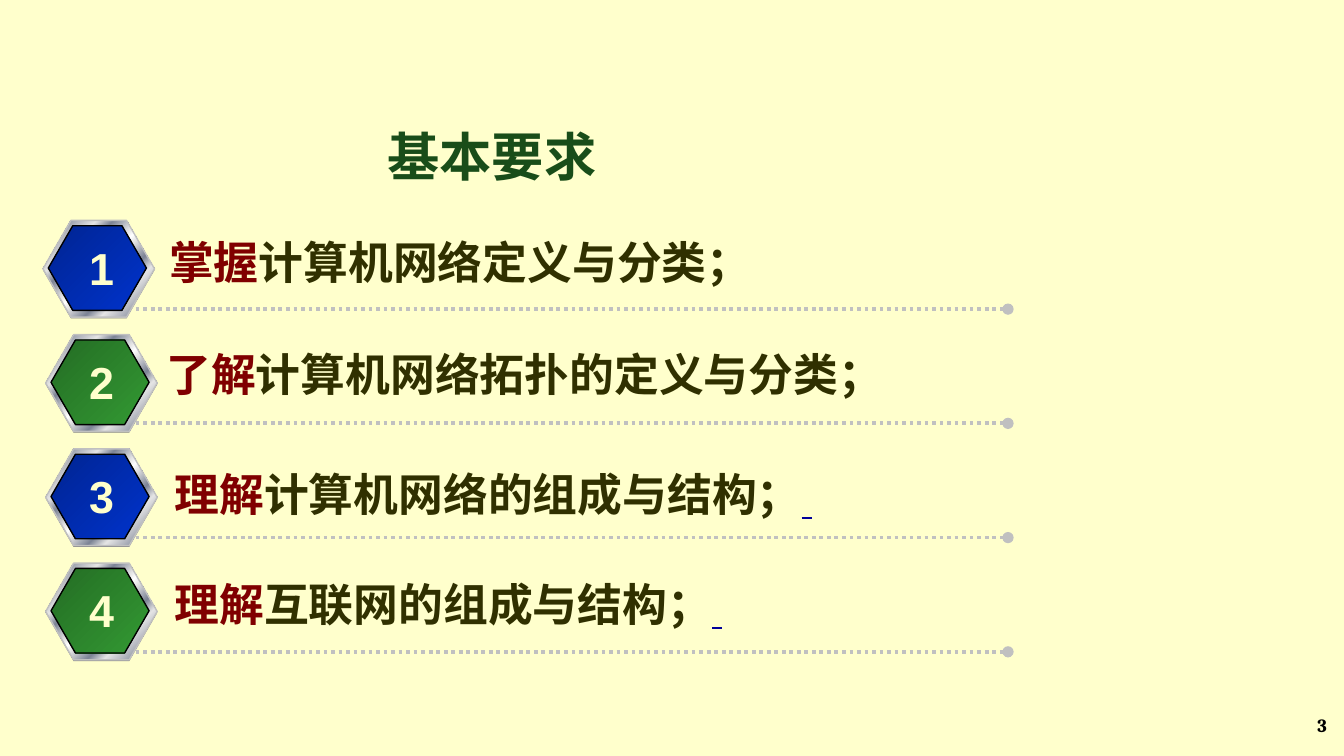
import pptx
import pptx.dml.color
import pptx.enum.dml
import pptx.enum.shapes
import pptx.enum.text
import pptx.oxml
import pptx.oxml.ns
import pptx.util
from dataclasses import dataclass

Inches, Pt = pptx.util.Inches, pptx.util.Pt
ALIGN = pptx.enum.text.PP_ALIGN
ANCHOR = pptx.enum.text.MSO_ANCHOR


@dataclass(frozen=True)
class Theme:
    page: str = "FFFFCC"
    title: str = "194D19"
    verb: str = "800000"
    body: str = "303000"
    link: str = "000099"
    black: str = "000000"
    rule: str = "C0C0C0"
    shade: str = "808080"
    blue: tuple = ((0, "002492"), (100, "0033CC"))
    green: tuple = ((0, "246D24"), (100, "339933"))
    metal: tuple = (
        (0, "E6E6E6"), (8, "7D8496"), (26, "E6E6E6"), (34, "7D8496"),
        (46, "E6E6E6"), (50, "FFFFFF"), (54, "E6E6E6"), (66, "7D8496"),
        (74, "E6E6E6"), (92, "7D8496"), (100, "E6E6E6"))
    title_size: int = 28
    body_size: int = 24
    page_size: int = 10
    heading_font: str = "Cambria"
    body_font: str = "Times New Roman"
    number_font: str = "Arial"


T = Theme()


def rgb(value):
    return pptx.dml.color.RGBColor.from_string(value)


def add_text(s, box, runs, size, font, align=ALIGN.LEFT, anchor=ANCHOR.TOP, inset=0.1):
    """Place one bold line; runs are (text, colour, underlined)."""
    sp = s.shapes.add_textbox(*map(Inches, box))
    tf = sp.text_frame
    tf.word_wrap = True
    tf.vertical_anchor = anchor
    tf.margin_left = tf.margin_right = Inches(inset)
    p = tf.paragraphs[0]
    p.alignment = align
    for text, color, underline in runs:
        r = p.add_run()
        r.text = text
        r.font.size, r.font.name, r.font.bold = Pt(size), font, True
        r.font.color.rgb = rgb(color)
        if underline:
            r.font.underline = True


def fill_gradient(sp, stops):
    sp.fill.gradient()
    sp.fill.gradient_angle = 315  # counter-clockwise: top left to bottom right
    gs_list = sp._element.spPr.find(".//" + pptx.oxml.ns.qn("a:gsLst"))
    for gs in list(gs_list):
        gs_list.remove(gs)
    for pos, color in stops:
        gs_list.append(pptx.oxml.parse_xml(
            f'<a:gs {pptx.oxml.ns.nsdecls("a")} pos="{pos * 1000}">'
            f'<a:srgbClr val="{color}"/></a:gs>'))


def add_hexagon(group, box, fill, line=None):
    sp = group.shapes.add_shape(pptx.enum.shapes.MSO_SHAPE.HEXAGON, *map(Inches, box))
    sp.shadow.inherit = False
    sp.adjustments[0] = 0.289
    if isinstance(fill, str):
        sp.fill.solid()
        sp.fill.fore_color.rgb = rgb(fill)
    else:
        fill_gradient(sp, fill)
    if line:
        sp.line.color.rgb = rgb(line)
        sp.line.width = Pt(0.75)
    else:
        sp.line.fill.background()


def add_badge(s, box, number, face):
    x, y, w, h = box
    group = s.shapes.add_group_shape()
    add_hexagon(group, (x, y + 0.01, w, h), T.shade)
    add_hexagon(group, box, T.metal, T.rule)
    add_hexagon(group, (x + 0.04, y + 0.04, w - 0.1, h - 0.09), face, T.black)
    add_text(s, (0.56, y + 0.1, 0.39, 0.5), [(number, T.page, False)],
             T.body_size, T.number_font, ALIGN.CENTER, inset=0)


def add_rule(s, x1, x2, y):
    sp = s.shapes.add_connector(pptx.enum.shapes.MSO_CONNECTOR.STRAIGHT,
                                Inches(x1), Inches(y), Inches(x2), Inches(y))
    sp.line.color.rgb = rgb(T.rule)
    sp.line.width = Pt(2)
    sp.line.dash_style = pptx.enum.dml.MSO_LINE.ROUND_DOT
    ns = pptx.oxml.ns.nsdecls("a")
    sp.line._get_or_add_ln().append(pptx.oxml.parse_xml(f'<a:tailEnd {ns} type="oval"/>'))
    sp._element.spPr.append(pptx.oxml.parse_xml(f"<a:effectLst {ns}/>"))


def add_requirement(s, top, number, badge_left, text_at, verb, rest, linked):
    """One row: dotted rule, numbered badge and sentence."""
    add_rule(s, 1.01, 7.5, top + 0.66)
    face = T.blue if number % 2 else T.green
    add_badge(s, (badge_left, top, 0.83, 0.72), str(number), face)
    runs = [(verb, T.verb, False), (rest, T.body, False)]
    if linked:
        runs.append((" ", T.link, True))
    add_text(s, (*text_at, 6.1, 0.5), runs, T.body_size, T.body_font)


def main():
    prs = pptx.Presentation()
    prs.slide_width = Inches(10)
    prs.slide_height = prs.slide_width * 9 // 16
    s = prs.slides.add_slide(prs.slide_layouts[6])
    s.background.fill.solid()
    s.background.fill.fore_color.rgb = rgb(T.page)

    # Title and page number
    add_text(s, (1.06, 0.69, 5.2, 0.94), [("基本要求", T.title, False)],
             T.title_size, T.heading_font, ALIGN.CENTER, ANCHOR.MIDDLE)
    add_text(s, (6.8, 5.26, 3.17, 0.26), [("3", T.black, False)],
             T.page_size, T.heading_font, ALIGN.RIGHT)

    # Requirements: badge left, text position, verb, rest, trailing link
    rows = [
        (0.32, (1.16, 1.7), "掌握", "计算机网络定义与分类；", False),
        (0.34, (1.14, 2.53), "了解", "计算机网络拓扑的定义与分类；", False),
        (0.34, (1.2, 3.42), "理解", "计算机网络的组成与结构；", True),
        (0.34, (1.2, 4.24), "理解", "互联网的组成与结构；", True),
    ]
    for i, row in enumerate(rows):
        add_requirement(s, 1.64 + 0.85 * i, i + 1, *row)

    prs.save("out.pptx")


if __name__ == "__main__":
    main()
